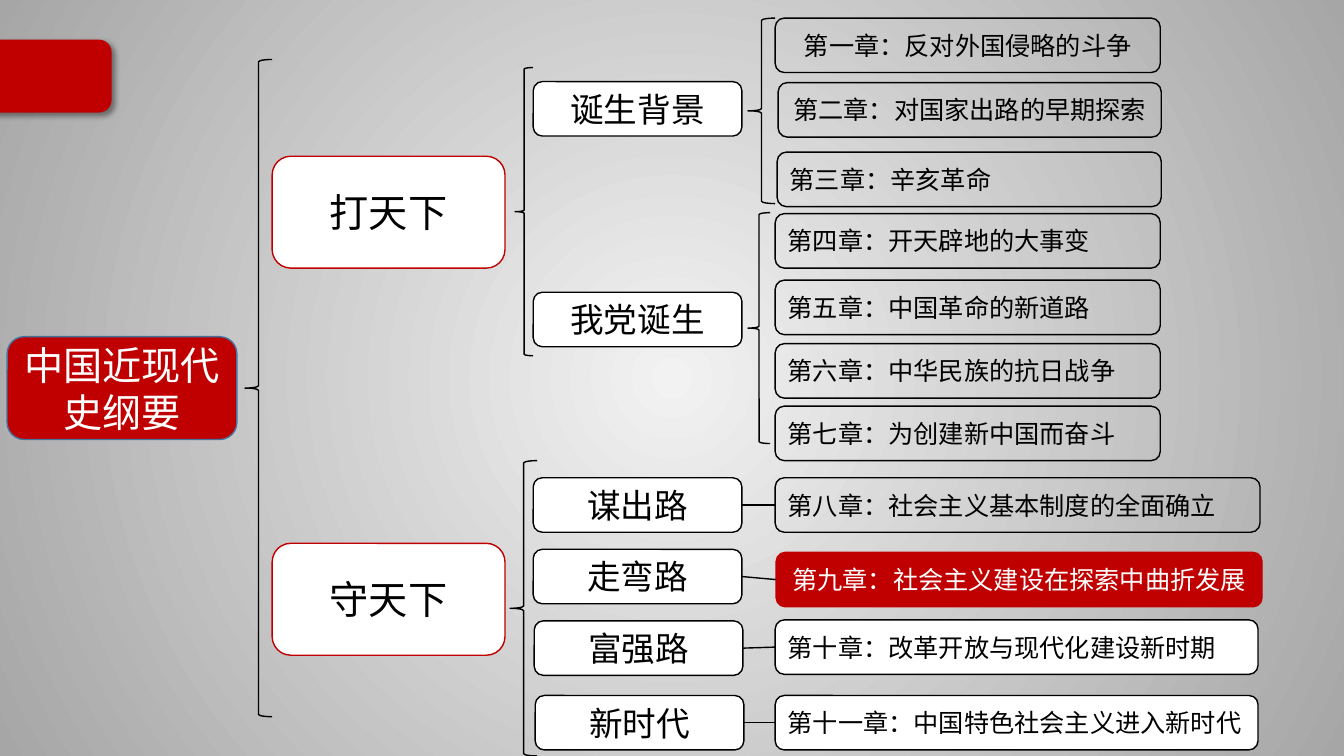
from lxml.etree import SubElement
from pptx import Presentation
from pptx.dml.color import RGBColor
from pptx.enum.shapes import MSO_CONNECTOR, MSO_SHAPE
from pptx.enum.text import MSO_ANCHOR, PP_ALIGN
from pptx.oxml import parse_xml
from pptx.oxml.ns import nsdecls, qn
from pptx.util import Inches, Pt

RED = RGBColor(0xC0, 0x00, 0x00)
BLUE = RGBColor(0x43, 0x73, 0x9E)
BLACK = RGBColor(0x00, 0x00, 0x00)
WHITE = RGBColor(0xFF, 0xFF, 0xFF)
PALE_GREY = RGBColor(0xF2, 0xF2, 0xF2)
MID_GREY = RGBColor(0xA6, 0xA6, 0xA6)

FONT = "Noto Sans CJK SC"
CELL = Inches(0.1)  # side of one grid column and one grid row
SLIDE_COLUMNS, SLIDE_ROWS = 133.33, 75
TOP_SIDE_LEFT, TOP_SIDE_RIGHT = 1, 3  # connection sites of a box


class MindMap:
    """Holds the style and the current slide; places are grid columns and rows."""

    def __init__(self, slide):
        self.slide = slide

    def background(self, centre, edge):
        fill = self.slide.background.fill
        fill.gradient()
        for stop, color in zip(fill.gradient_stops, (centre, edge)):
            stop.color.rgb = color
        linear = next(self.slide.element.iter(qn("a:lin")))
        linear.getparent().replace(linear, parse_xml(
            f'<a:path {nsdecls("a")} path="circle">'
            '<a:fillToRect l="50000" t="50000" r="50000" b="50000"/></a:path>'))

    def outline(self, kind, column, row, columns, rows, fill=None, line=BLACK):
        place = [round(cells * CELL) for cells in (column, row, columns, rows)]
        shape = self.slide.shapes.add_shape(kind, *place)
        shape.shadow.inherit = False
        if fill is None:
            shape.fill.background()
        else:
            shape.fill.solid()
            shape.fill.fore_color.rgb = fill
        shape.line.color.rgb = line
        shape.line.width = Pt(1)
        return shape

    def tab(self, column, row, columns, rows):
        tab = self.outline(MSO_SHAPE.ROUNDED_RECTANGLE, column, row, columns, rows, RED, RED)
        effects = tab.element.spPr.find(qn("a:effectLst"))
        effects.append(parse_xml(
            f'<a:outerShdw {nsdecls("a")} blurRad="50800" dist="38100" dir="2700000">'
            '<a:srgbClr val="000000"><a:alpha val="40000"/></a:srgbClr></a:outerShdw>'))

    def brace(self, column, row, columns, rows):
        self.outline(MSO_SHAPE.LEFT_BRACE, column, row, columns, rows)

    def box(self, text, column, row, columns, rows, size,
            fill=WHITE, line=BLACK, color=BLACK, align=PP_ALIGN.CENTER):
        box = self.outline(MSO_SHAPE.ROUNDED_RECTANGLE, column, row, columns, rows, fill, line)
        frame = box.text_frame
        frame.word_wrap = True
        frame.vertical_anchor = MSO_ANCHOR.MIDDLE
        paragraph = frame.paragraphs[0]
        paragraph.text = text
        paragraph.alignment = align
        font = paragraph.font
        font.size = Pt(size)
        font.color.rgb = color
        font.name = FONT
        defaults = next(box.element.iter(qn("a:defRPr")))
        SubElement(defaults, qn("a:ea"), typeface=FONT)
        return box

    def link(self, chapter, stage):
        link = self.slide.shapes.add_connector(MSO_CONNECTOR.STRAIGHT, 0, 0, 0, 0)
        link.begin_connect(chapter, TOP_SIDE_LEFT)
        link.end_connect(stage, TOP_SIDE_RIGHT)
        link.line.color.rgb = BLACK
        link.line.width = Pt(1)
        SubElement(link.element.spPr, qn("a:effectLst"))


def main():
    deck = Presentation()
    deck.slide_width = round(SLIDE_COLUMNS * CELL)
    deck.slide_height = SLIDE_ROWS * CELL
    mind_map = MindMap(deck.slides.add_slide(deck.slide_layouts[6]))
    mind_map.background(PALE_GREY, MID_GREY)
    mind_map.tab(-1.8, 4, 12.8, 7.1)

    # Course and its two eras
    mind_map.box("中国近现代史纲要", 0.7, 33.4, 22.8, 10.2, 28, RED, BLUE, WHITE)
    for era, row in (("打天下", 15.5), ("守天下", 53.9)):
        mind_map.box(era, 27, row, 23.1, 11.1, 28, line=RED)

    # Braces: course, eras, then the stages with several chapters
    for place in ((24.3, 5.9, 2.7, 65.2),
                  (51.1, 6.7, 1.8, 28.6), (50.6, 45.7, 2.7, 29.3),
                  (74.2, 1.8, 2.7, 18.4), (74.2, 21.1, 2.2, 22.9)):
        mind_map.brace(*place)

    # Stages
    stages = {
        name: mind_map.box(name, column, row, 20.7, 5.4, 24)
        for name, column, row in (
            ("诞生背景", 52.9, 8.1), ("我党诞生", 52.9, 29),
            ("谋出路", 52.9, 47.4), ("走弯路", 52.9, 54.5),
            ("富强路", 53, 61.6), ("新时代", 53.1, 69))
    }

    # Chapters grouped under a brace
    left, center = PP_ALIGN.LEFT, PP_ALIGN.CENTER
    for text, column, row, columns, align in (
            ("第一章：反对外国侵略的斗争", 76.9, 1.8, 38.2, center),
            ("第二章：对国家出路的早期探索", 77.2, 8.2, 38, center),
            ("第三章：辛亥革命", 77.1, 15.1, 38.1, left),
            ("第四章：开天辟地的大事变", 76.9, 21.2, 38.2, left),
            ("第五章：中国革命的新道路", 76.9, 27.8, 38.2, left),
            ("第六章：中华民族的抗日战争", 76.9, 34.1, 38.2, left),
            ("第七章：为创建新中国而奋斗", 76.9, 40.3, 38.2, left)):
        mind_map.box(text, column, row, columns, 5.4, 18, None, align=align)

    # Chapters linked to a stage of their own; the current one is red
    plain, current = (BLACK, BLACK, left), (RED, WHITE, center)
    for stage, text, column, row, columns, fill, (line, color, align) in (
            ("谋出路", "第八章：社会主义基本制度的全面确立", 76.9, 47.4, 48.1, None, plain),
            ("走弯路", "第九章：社会主义建设在探索中曲折发展", 77, 54.8, 48.2, RED, current),
            ("富强路", "第十章：改革开放与现代化建设新时期", 76.9, 61.5, 47.9, WHITE, plain),
            ("新时代", "第十一章：中国特色社会主义进入新时代", 76.9, 69, 47.9, WHITE, plain)):
        chapter = mind_map.box(text, column, row, columns, 5.4, 18, fill, line, color, align)
        mind_map.link(chapter, stages[stage])

    deck.save("out.pptx")


if __name__ == "__main__":
    main()
